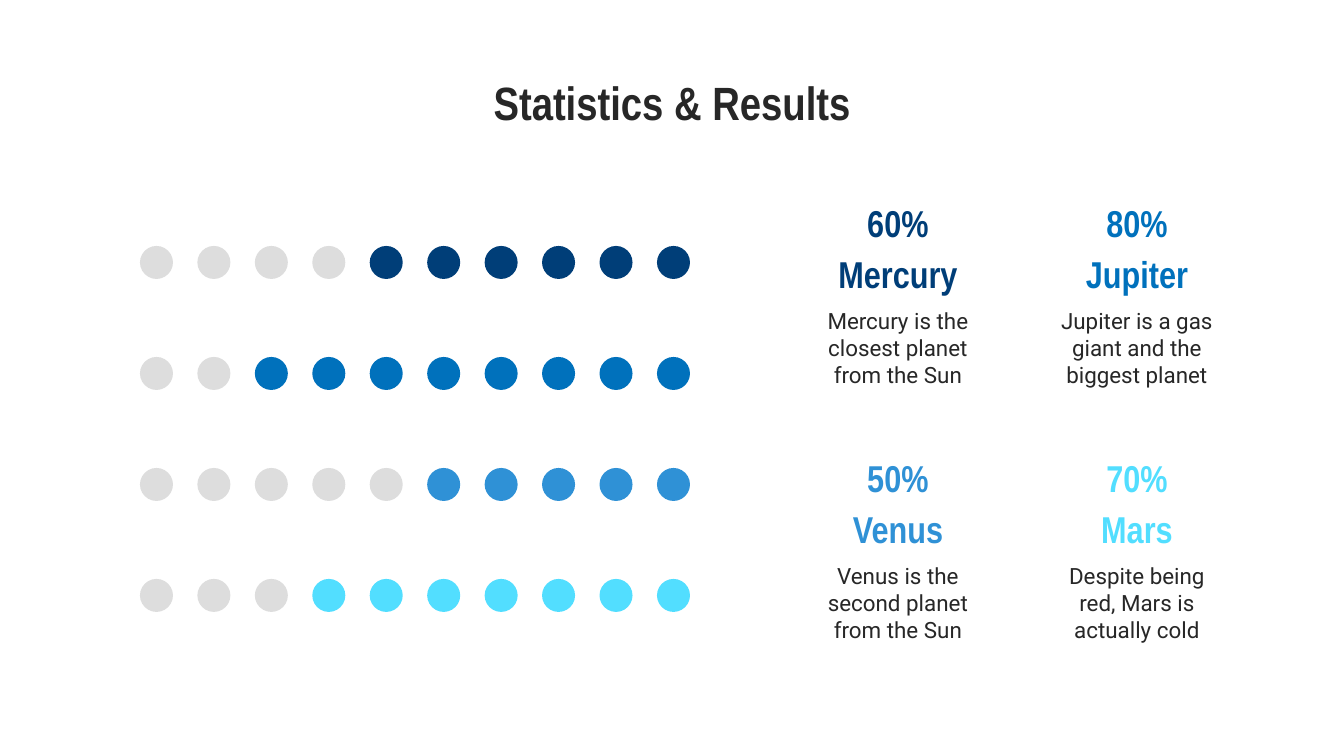
from pptx import Presentation
from pptx.dml.color import RGBColor
from pptx.enum.shapes import MSO_SHAPE
from pptx.enum.text import MSO_ANCHOR, PP_ALIGN
from pptx.util import Inches, Pt

OVAL = MSO_SHAPE.OVAL
TOP, MIDDLE = MSO_ANCHOR.TOP, MSO_ANCHOR.MIDDLE
CENTER = PP_ALIGN.CENTER

EMU_PER_PX = 914400 / 134.4

INK = RGBColor(0x27, 0x27, 0x27)
EMPTY = RGBColor(0xDD, 0xDD, 0xDD)
NAVY = RGBColor(0x00, 0x3E, 0x78)
BLUE = RGBColor(0x00, 0x71, 0xBC)
SKY = RGBColor(0x2F, 0x91, 0xD6)
CYAN = RGBColor(0x52, 0xDE, 0xFF)

HEADING_FONT = "Arial Narrow"
BODY_FONT = "Roboto"

# name, percent, colour, description; in the order of the dot rows
PLANETS = [
    ("Mercury", 60, NAVY, "Mercury is the closest planet from the Sun"),
    ("Jupiter", 80, BLUE, "Jupiter is a gas giant and the biggest planet"),
    ("Venus", 50, SKY, "Venus is the second planet from the Sun"),
    ("Mars", 70, CYAN, "Despite being red, Mars is actually cold"),
]

DOT_COUNT = 10
DOT_SIZE = 33
DOTS_LEFT, DOTS_TOP = 140, 246
DOTS_SPAN = 517  # from the first dot to the last
DOT_ROW_PITCH = 111

CARD_LEFT, CARD_TOP = 800, 191
CARD_WIDTH = 196
CARD_PITCH_X, CARD_PITCH_Y = 239, 255


def px(length):
    return round(length * EMU_PER_PX)


def add_text(slide, text, box, size, color, font=HEADING_FONT, bold=True, anchor=MIDDLE):
    frame = slide.shapes.add_textbox(*map(px, box)).text_frame
    frame.word_wrap = True
    frame.vertical_anchor = anchor
    frame.margin_left = frame.margin_right = Inches(0.1)
    frame.margin_top = frame.margin_bottom = Inches(0.1)
    frame.text = text
    paragraph = frame.paragraphs[0]
    paragraph.alignment = CENTER
    run_font = paragraph.runs[0].font
    run_font.name = font
    run_font.size = Pt(size)
    run_font.bold = bold
    run_font.color.rgb = color


def add_dot(slide, left, top, color):
    dot = slide.shapes.add_shape(OVAL, px(left), px(top), px(DOT_SIZE), px(DOT_SIZE))
    dot.shadow.inherit = False
    dot.fill.solid()
    dot.fill.fore_color.rgb = color
    dot.line.fill.background()


def add_dot_row(slide, top, percent, color):
    """Draw ten dots, filled from the right, one for each ten percent."""
    empty_count = DOT_COUNT - percent // 10
    for index in range(DOT_COUNT):
        left = DOTS_LEFT + index * DOTS_SPAN / (DOT_COUNT - 1)
        add_dot(slide, left, top, EMPTY if index < empty_count else color)


def add_planet_card(slide, left, top, name, percent, color, description):
    add_text(slide, f"{percent}%", (left, top, CARD_WIDTH, 63), 20, color)
    add_text(slide, name, (left, top + 63, CARD_WIDTH, 40), 20, color)
    add_text(slide, description, (left, top + 103, CARD_WIDTH, 120), 12, INK,
             font=BODY_FONT, bold=False, anchor=TOP)


def main():
    presentation = Presentation()
    presentation.slide_width = px(1344)
    presentation.slide_height = px(756)
    slide = presentation.slides.add_slide(presentation.slide_layouts[6])

    add_text(slide, "Statistics & Results", (67, 60, 1210, 73), 25, INK, anchor=TOP)
    for index, (name, percent, color, description) in enumerate(PLANETS):
        add_dot_row(slide, DOTS_TOP + index * DOT_ROW_PITCH, percent, color)
        row, column = divmod(index, 2)
        add_planet_card(slide, CARD_LEFT + column * CARD_PITCH_X,
                        CARD_TOP + row * CARD_PITCH_Y,
                        name, percent, color, description)

    presentation.save("out.pptx")


if __name__ == "__main__":
    main()
